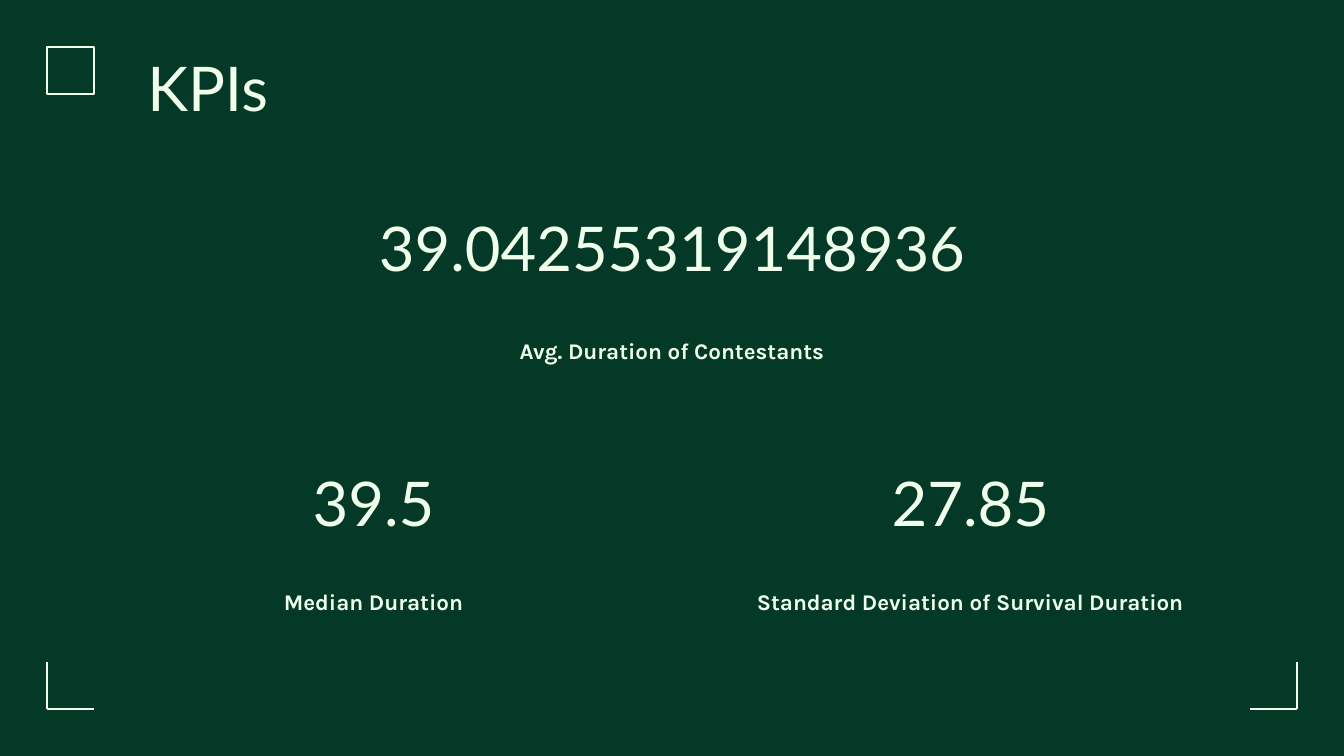
from lxml import etree
from pptx import Presentation
from pptx.dml.color import RGBColor
from pptx.enum.shapes import MSO_CONNECTOR, MSO_SHAPE
from pptx.enum.text import MSO_ANCHOR, PP_ALIGN
from pptx.oxml.ns import qn
from pptx.util import Cm, Pt

STRAIGHT = MSO_CONNECTOR.STRAIGHT
RECTANGLE = MSO_SHAPE.RECTANGLE
TOP, BOTTOM = MSO_ANCHOR.TOP, MSO_ANCHOR.BOTTOM
CENTER = PP_ALIGN.CENTER

GREEN = RGBColor(0x04, 0x39, 0x27)
MINT = RGBColor(0xF0, 0xFF, 0xEB)

SLIDE_WIDTH, SLIDE_HEIGHT = 25.4, 14.29
MARGIN = 0.89
MARK = 0.89
LINE_WIDTH = Pt(1.5)
NUMBER_HEIGHT = 2.13
LABEL_WIDTH, LABEL_HEIGHT = 9.7, 1.07


def add_line(slide, x1, y1, x2, y2):
    line = slide.shapes.add_connector(STRAIGHT, Cm(x1), Cm(y1), Cm(x2), Cm(y2))
    line.line.color.rgb = MINT
    line.line.width = LINE_WIDTH
    etree.SubElement(line._element.spPr, qn("a:effectLst"))


def add_frame(slide, left, top, width, height):
    square = slide.shapes.add_shape(RECTANGLE, Cm(left), Cm(top), Cm(MARK), Cm(MARK))
    square.shadow.inherit = False
    square.fill.background()
    square.line.color.rgb = MINT
    square.line.width = LINE_WIDTH

    bottom = top + height
    for corner, inward in ((left, 1), (left + width, -1)):
        add_line(slide, corner, bottom, corner + inward * MARK, bottom)
        add_line(slide, corner, bottom - MARK, corner, bottom)


def add_text(slide, text, left, top, width, height, font, size, anchor, bold=False, opacity=100):
    box = slide.shapes.add_textbox(Cm(left), Cm(top), Cm(width), Cm(height))
    box.fill.solid()
    box.fill.fore_color.rgb = GREEN
    if opacity < 100:
        fill_color = box._element.spPr.find(qn("a:solidFill"))[0]
        etree.SubElement(fill_color, qn("a:alpha"), val=str(opacity * 1000))

    frame = box.text_frame
    frame.word_wrap = True
    frame.vertical_anchor = anchor
    frame.margin_left = frame.margin_right = Cm(0.25)
    frame.margin_top = frame.margin_bottom = Cm(0.25)
    paragraph = frame.paragraphs[0]
    paragraph.alignment = CENTER
    run = paragraph.add_run()
    run.text = text
    run.font.name = font
    run.font.size = Pt(size)
    run.font.bold = bold
    run.font.color.rgb = MINT


def add_heading(slide, text, left, top, width, height):
    add_text(slide, text, left, top, width, height, "Lato", 33, BOTTOM, opacity=54)


def add_kpi(slide, number, label, left, top, width, height):
    add_heading(slide, number, left, top, width, NUMBER_HEIGHT)
    label_left = left + (width - LABEL_WIDTH) / 2
    label_top = top + height - LABEL_HEIGHT
    add_text(slide, label, label_left, label_top, LABEL_WIDTH, LABEL_HEIGHT,
             "Karla", 12, TOP, bold=True)


def build_kpi_slide(presentation):
    slide = presentation.slides.add_slide(presentation.slide_layouts[6])
    slide.background.fill.solid()
    slide.background.fill.fore_color.rgb = GREEN

    add_frame(slide, MARGIN, MARGIN, SLIDE_WIDTH - 2 * MARGIN, SLIDE_HEIGHT - 2 * MARGIN)
    add_heading(slide, "KPIs", 2.21, 0.81, 3.43, 1.78)
    add_kpi(slide, "39.04255319148936", "Avg. Duration of Contestants", 6.86, 3.48, 11.68, 3.71)
    lower_kpis = (
        ("39.5", "Median Duration", 2.21),
        ("27.85", "Standard Deviation of Survival Duration", 13.49),
    )
    for number, label, left in lower_kpis:
        add_kpi(slide, number, label, left, 8.31, LABEL_WIDTH, 3.63)


def main():
    presentation = Presentation()
    presentation.slide_width = Cm(SLIDE_WIDTH)
    presentation.slide_height = Cm(SLIDE_HEIGHT)
    build_kpi_slide(presentation)
    presentation.save("out.pptx")


if __name__ == "__main__":
    main()
